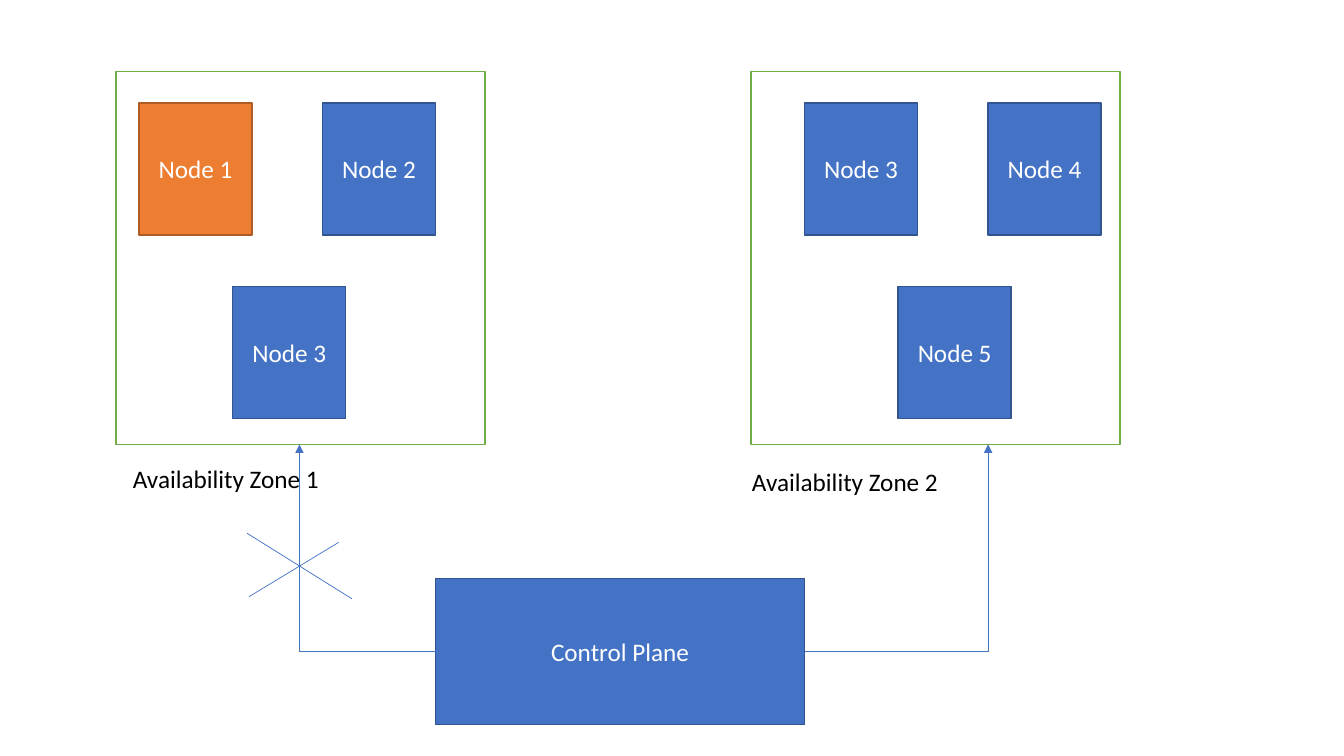
from dataclasses import dataclass

from lxml.etree import SubElement
from pptx import Presentation
from pptx.dml.color import RGBColor
from pptx.enum.shapes import MSO_CONNECTOR as Connector, MSO_SHAPE as Shape
from pptx.enum.text import MSO_ANCHOR as Anchor, PP_ALIGN as Align
from pptx.oxml.ns import qn
from pptx.util import Inches, Pt


@dataclass(frozen=True)
class Theme:
    font: str = "Calibri"
    text_size: float = 18
    box_line: float = 1
    link_line: float = 0.5
    white: str = "FFFFFF"
    black: str = "000000"
    green: str = "70AD47"
    blue: str = "4472C4"
    dark_blue: str = "325491"
    orange: str = "ED7D31"
    dark_orange: str = "AF5C24"


THEME = Theme()

# Content: each zone has its left edge, label corner, left edge of its nodes and node names
ZONES = [
    {"left": 1.15, "label": "Availability Zone 1", "label_at": (1.22, 4.55),
     "nodes_left": 1.38, "nodes": ["Node 1", "Node 2", "Node 3"]},
    {"left": 7.45, "label": "Availability Zone 2", "label_at": (7.36, 4.58),
     "nodes_left": 7.98, "nodes": ["Node 3", "Node 4", "Node 5"]},
]
FAILED_NODE = "Node 1"
CONTROL_PLANE = "Control Plane"
CROSS = [((2.45, 5.29), (3.49, 5.94)), ((3.36, 5.38), (2.47, 5.92))]

# Layout, in inches
SLIDE_SIZE = (13.33, 7.5)
ZONE_TOP, ZONE_SIZE = 0.71, (3.66, 3.7)
ZONE_BOTTOM = ZONE_TOP + ZONE_SIZE[1]
NODE_TOP, NODE_SIZE, NODE_PITCH = 1.02, (1.12, 1.31), 1.82
NODE_CELLS = [(0, 0), (1, 0), (0.51, 1)]  # column, row: two above, one centred below
LABEL_SIZE = (2.94, 0.4)
PLANE_AT, PLANE_SIZE = (4.32, 5.74), (3.66, 1.45)
ARROW_TIPS = (2.97, 9.8)


def color(value):
    return RGBColor.from_string(value)


def inches(*values):
    return [Inches(value) for value in values]


def write(frame, text, ink):
    para = frame.paragraphs[0]
    para.text = text
    para.font.name = THEME.font
    para.font.size = Pt(THEME.text_size)
    para.font.color.rgb = color(ink)
    return para


def add_box(page, at, size, fill, line, text=""):
    box = page.shapes.add_shape(Shape.RECTANGLE, *inches(*at, *size))
    box.shadow.inherit = False
    box.fill.solid()
    box.fill.fore_color.rgb = color(fill)
    box.line.color.rgb = color(line)
    box.line.width = Pt(THEME.box_line)
    if text:
        box.text_frame.vertical_anchor = Anchor.MIDDLE
        write(box.text_frame, text, THEME.white).alignment = Align.CENTER


def add_label(page, at, text):
    label = page.shapes.add_textbox(*inches(*at, *LABEL_SIZE))
    label.text_frame.word_wrap = True
    write(label.text_frame, text, THEME.black)


def add_link(page, start, end, kind=Connector.STRAIGHT):
    link = page.shapes.add_connector(kind, *inches(*start, *end))
    link.line.color.rgb = color(THEME.blue)
    link.line.width = Pt(THEME.link_line)
    SubElement(link._element.spPr, qn("a:effectLst"))
    return link


def add_bent_arrow(page, start, end):
    """Draw a one-corner arrow that leaves sideways and ends upright."""
    link = add_link(page, start, end, Connector.ELBOW)
    link._element.spPr.find(qn("a:prstGeom")).set("prst", "bentConnector2")
    SubElement(link.line._get_or_add_ln(), qn("a:tailEnd"), type="triangle")


def add_nodes(page, zone):
    for name, (column, row) in zip(zone["nodes"], NODE_CELLS):
        at = (zone["nodes_left"] + column * NODE_PITCH, NODE_TOP + row * NODE_PITCH)
        failed = name == FAILED_NODE
        fill = THEME.orange if failed else THEME.blue
        line = THEME.dark_orange if failed else THEME.dark_blue
        add_box(page, at, NODE_SIZE, fill, line, name)


def main():
    deck = Presentation()
    deck.slide_width, deck.slide_height = inches(*SLIDE_SIZE)
    page = deck.slides.add_slide(deck.slide_layouts[6])

    for zone in ZONES:
        add_box(page, (zone["left"], ZONE_TOP), ZONE_SIZE, THEME.white, THEME.green)
        add_label(page, zone["label_at"], zone["label"])
        add_nodes(page, zone)

    add_box(page, PLANE_AT, PLANE_SIZE, THEME.blue, THEME.dark_blue, CONTROL_PLANE)
    plane_left, plane_top = PLANE_AT
    plane_sides = (plane_left, plane_left + PLANE_SIZE[0])
    plane_middle = plane_top + PLANE_SIZE[1] / 2
    for side, tip in zip(plane_sides, ARROW_TIPS):
        add_bent_arrow(page, (side, plane_middle), (tip, ZONE_BOTTOM))
    for start, end in CROSS:
        add_link(page, start, end)

    deck.save("out.pptx")


if __name__ == "__main__":
    main()
